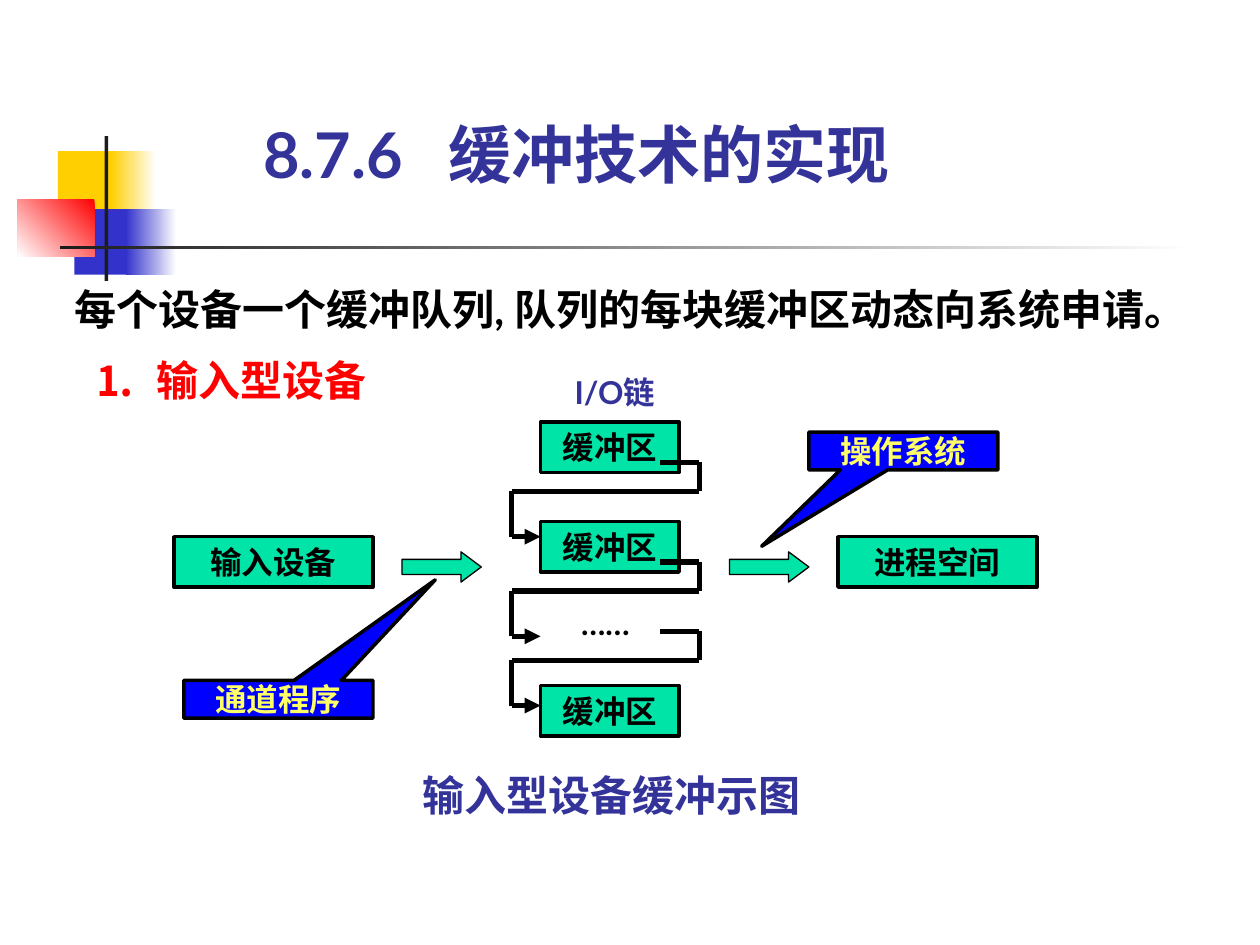
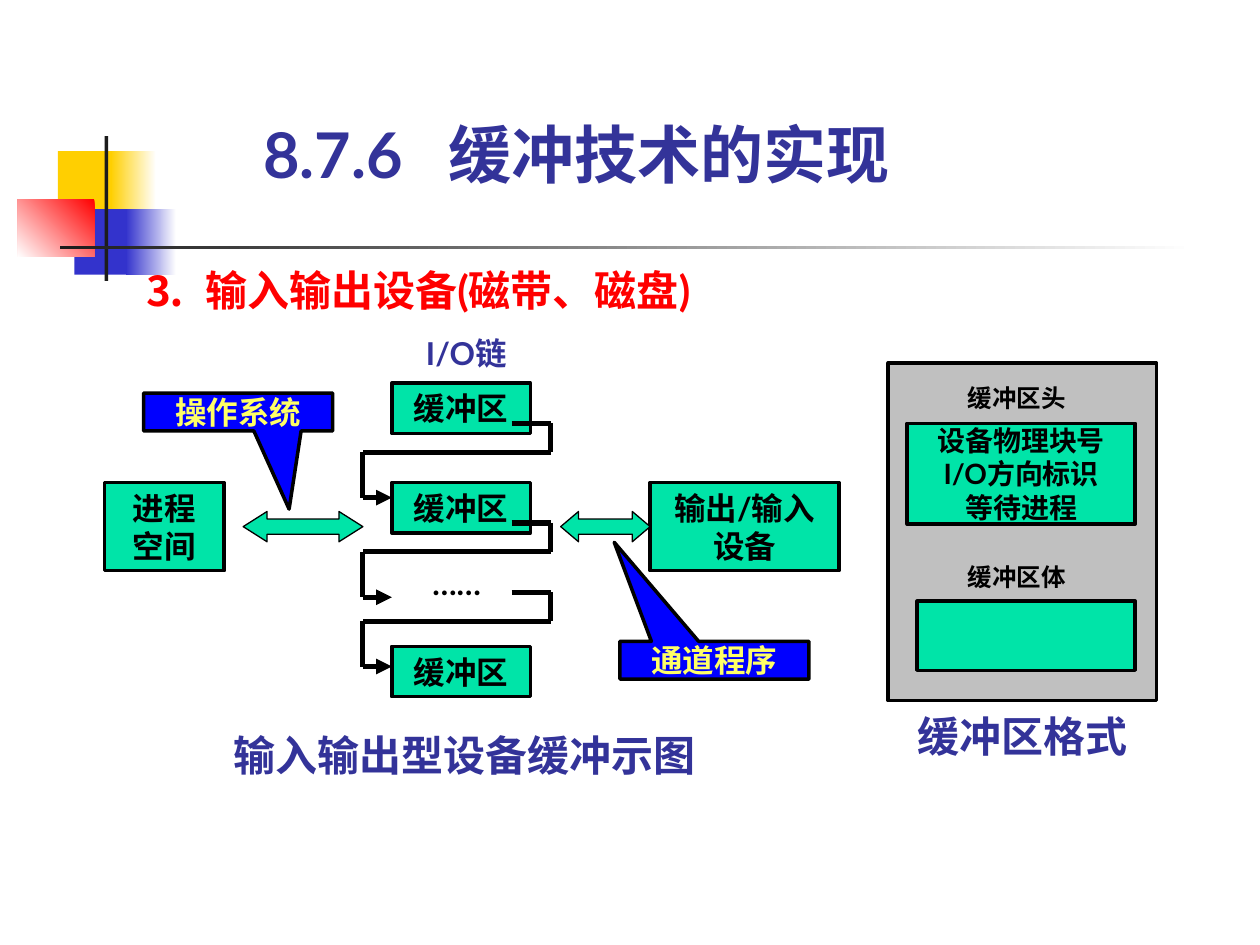
from itertools import pairwise

from lxml import etree
from pptx import Presentation
from pptx.dml.color import RGBColor
from pptx.enum.shapes import MSO_CONNECTOR, MSO_SHAPE
from pptx.enum.text import MSO_ANCHOR, MSO_AUTO_SIZE, PP_ALIGN
from pptx.oxml.ns import qn
from pptx.util import Inches, Pt

FONT = "Lato"
BLACK, WHITE, RED, NAVY = "000000", "FFFFFF", "FF0000", "333399"
GREEN, BLUE, GRAY, PALE_YELLOW = "00E4A8", "0000FF", "C0C0C0", "FFFF66"
GOLD, ROYAL, INK = "FFCF01", "3333CC", "1C1C1C"
TITLE = "8.7.6\t缓冲技术的实现"
LABEL_HEIGHT = 0.3
CAPTION_HEIGHT = 0.4


def color(hex_string):
    return RGBColor.from_string(hex_string)


def write(frame, text, size=18, ink=BLACK, align=PP_ALIGN.LEFT,
          anchor=MSO_ANCHOR.TOP, insets=(0, 0), spacing=None, tab=None):
    """Fill a text frame, one paragraph per line; insets are (side, top and bottom)."""
    frame.word_wrap = True
    frame.auto_size = MSO_AUTO_SIZE.NONE
    frame.vertical_anchor = anchor
    frame.margin_left = frame.margin_right = Inches(insets[0])
    frame.margin_top = frame.margin_bottom = Inches(insets[1])
    for index, line in enumerate(text.split("\n")):
        paragraph = frame.add_paragraph() if index else frame.paragraphs[0]
        paragraph.alignment = align
        if spacing:
            paragraph.line_spacing = spacing
        if tab:
            stops = etree.SubElement(paragraph._p.get_or_add_pPr(), qn("a:tabLst"))
            etree.SubElement(stops, qn("a:tab"), pos=str(Inches(tab)), algn="l")
        run = paragraph.add_run()
        run.text = line
        run.font.name = FONT
        run.font.size = Pt(size)
        run.font.bold = True
        run.font.color.rgb = color(ink)


def add_label(slide, box, text, **style):
    write(slide.shapes.add_textbox(*map(Inches, box)).text_frame, text, **style)


def add_figure(slide, kind, box, fill, line_width=2.0, adjust=()):
    figure = slide.shapes.add_shape(kind, *map(Inches, box))
    figure.shadow.inherit = False
    for index, value in enumerate(adjust):
        figure.adjustments[index] = value
    if isinstance(fill, tuple):
        start, end, angle = fill
        figure.fill.gradient()
        figure.fill.gradient_angle = angle
        for stop, shade in zip(figure.fill.gradient_stops, (start, end)):
            stop.color.rgb = color(shade)
    else:
        figure.fill.solid()
        figure.fill.fore_color.rgb = color(fill)
    if line_width:
        figure.line.color.rgb = color(BLACK)
        figure.line.width = Pt(line_width)
    else:
        figure.line.fill.background()
    return figure


def add_block(slide, box, text, side=0.1):
    block = add_figure(slide, MSO_SHAPE.RECTANGLE, box, GREEN)
    write(block.text_frame, text, align=PP_ALIGN.CENTER,
          anchor=MSO_ANCHOR.MIDDLE, insets=(side, 0))


def add_callout(slide, left, top, text, pointer):
    callout = add_figure(slide, MSO_SHAPE.RECTANGULAR_CALLOUT,
                         (left, top, 1.5, LABEL_HEIGHT), BLUE, adjust=pointer)
    write(callout.text_frame, text, ink=PALE_YELLOW, align=PP_ALIGN.CENTER,
          anchor=MSO_ANCHOR.MIDDLE)


def add_flow(slide, kind, left, top, width, head):
    add_figure(slide, kind, (left, top, width, 0.24), GREEN, 0.75, (0.5, head))


def add_caption(slide, left, top, width, text, **style):
    add_label(slide, (left, top, width, CAPTION_HEIGHT), text, size=24, ink=NAVY, **style)


def add_heading(slide, left, top, width, text):
    add_label(slide, (left, top, width, CAPTION_HEIGHT), text, size=24, ink=RED, tab=0.49)


def add_link(slide, left, top):
    """Lead from the end of one buffer round to the start of the next."""
    corners = [(0.95, 0), (1.26, 0), (1.26, 0.23), (-0.23, 0.23), (-0.23, 0.59), (0, 0.59)]
    for (x1, y1), (x2, y2) in pairwise(corners):
        ends = (left + x1, top + y1, left + x2, top + y2)
        segment = slide.shapes.add_connector(MSO_CONNECTOR.STRAIGHT, *map(Inches, ends))
        segment.line.color.rgb = color(BLACK)
        segment.line.width = Pt(3)
        etree.SubElement(segment._element.spPr, qn("a:effectLst"))
    etree.SubElement(segment.line._get_or_add_ln(), qn("a:tailEnd"), type="triangle")


def add_buffer_chain(slide, left, top):
    for offset in (0, 0.79, 2.09):
        add_block(slide, (left, top + offset, 1.1, 0.4), "缓冲区")
    add_label(slide, (left + 0.16, top + 1.44, 0.71, LABEL_HEIGHT), "……",
              align=PP_ALIGN.CENTER)
    for offset in (0.32, 1.11, 1.66):
        add_link(slide, left, top + offset)
    add_label(slide, (left + 0.08, top - 0.39, 1.02, LABEL_HEIGHT), "I/O链",
              ink=NAVY, align=PP_ALIGN.CENTER)


def add_input_diagram(slide, left, top):
    for offset, text in ((0, "输入设备"), (5.27, "进程空间")):
        add_block(slide, (left + offset, top + 1.3, 1.58, 0.4), text)
    for offset in (1.81, 4.41):
        add_flow(slide, MSO_SHAPE.RIGHT_ARROW, left + offset, top + 1.42, 0.63, 0.67)
    add_buffer_chain(slide, left + 2.91, top + 0.39)
    add_callout(slide, left + 0.08, top + 2.44, "通道程序", (0.83, -3.16))
    add_callout(slide, left + 5.04, top + 0.47, "操作系统", (-0.75, 2.52))
    add_caption(slide, left + 1.97, top + 3.15, 3.38, "输入型设备缓冲示图")


def add_two_way_diagram(slide, left, top):
    add_block(slide, (left + 4.33, top + 1.18, 1.5, 0.7), "输出/输入设备")
    add_buffer_chain(slide, left + 2.28, top + 0.39)
    add_block(slide, (left, top + 1.18, 0.95, 0.7), "进程空间", side=0.15)
    add_callout(slide, left + 4.09, top + 2.44, "通道程序", (-0.53, -3.12))
    add_callout(slide, left + 0.31, top + 0.47, "操作系统", (0.27, 2.57))
    add_caption(slide, left + 1.02, top + 3.14, 3.94, "输入输出型设备缓冲示图")
    for offset, width, head in ((1.1, 0.95, 0.79), (3.62, 0.71, 0.59)):
        add_flow(slide, MSO_SHAPE.LEFT_RIGHT_ARROW, left + offset, top + 1.41, width, head)


def add_buffer_format(slide, left, top):
    add_figure(slide, MSO_SHAPE.RECTANGLE, (left, top, 2.13, 2.68), GRAY)
    for offset, text in ((0.16, "缓冲区头"), (1.58, "缓冲区体")):
        add_label(slide, (left + 0.63, top + offset, 0.82, 0.23), text, size=14)
    head = add_figure(slide, MSO_SHAPE.RECTANGLE,
                      (left + 0.15, top + 0.48, 1.81, 0.8), GREEN)
    write(head.text_frame, "设备物理块号\nI/O方向标识\n等待进程", size=16,
          align=PP_ALIGN.CENTER, anchor=MSO_ANCHOR.MIDDLE)
    add_figure(slide, MSO_SHAPE.RECTANGLE, (left + 0.23, top + 1.89, 1.73, 0.55), GREEN)
    add_caption(slide, left + 0.08, top + 2.76, 1.97, "缓冲区格式", align=PP_ALIGN.CENTER)


def decorate_layout(layout, slide):
    """Draw the shared emblem and rule on a slide, then move them to its layout."""
    emblem = [
        ((0.46, 1.2, 0.48, 0.52), GOLD),
        ((0.88, 1.2, 0.36, 0.52), (WHITE, GOLD, 180)),
        ((0.59, 1.66, 0.46, 0.52), ROYAL),
        ((1, 1.66, 0.4, 0.52), (WHITE, ROYAL, 180)),
        ((0.14, 1.58, 0.61, 0.46), (RED, WHITE, 225)),
        ((0.83, 1.08, 0.03, 1.15), INK),
        ((0.48, 1.95, 9, 0.03), (WHITE, INK, 180)),
    ]
    for box, fill in emblem:
        part = add_figure(slide, MSO_SHAPE.RECTANGLE, box, fill, line_width=0)
        layout.shapes.element.append(part._element)


def add_titled_slide(deck, layout):
    slide = deck.slides.add_slide(layout)
    title = slide.shapes.title
    title.left, title.top, title.width, title.height = map(Inches, (2.09, 0.92, 5.67, 0.6))
    write(title.text_frame, TITLE, size=36, ink=NAVY, anchor=MSO_ANCHOR.BOTTOM, tab=1.47)
    return slide


def main():
    deck = Presentation()
    deck.slide_width, deck.slide_height = Inches(10), Inches(7.5)
    layout = deck.slide_layouts[5]

    input_slide = add_titled_slide(deck, layout)
    decorate_layout(layout, input_slide)
    add_label(input_slide, (0.59, 2.17, 9.21, 0.48),
              "每个设备一个缓冲队列, 队列的每块缓冲区动态向系统申请。", size=24, spacing=1.2)
    add_heading(input_slide, 0.75, 2.81, 2.36, "⒈\t输入型设备")
    add_input_diagram(input_slide, 1.38, 2.96)

    two_way_slide = add_titled_slide(deck, layout)
    add_heading(two_way_slide, 1.14, 2.1, 4.75, "⒊\t输入输出设备(磁带、磁盘)")
    add_two_way_diagram(two_way_slide, 0.83, 2.65)
    add_buffer_format(two_way_slide, 7.05, 2.88)

    deck.save("out.pptx")


if __name__ == "__main__":
    main()
